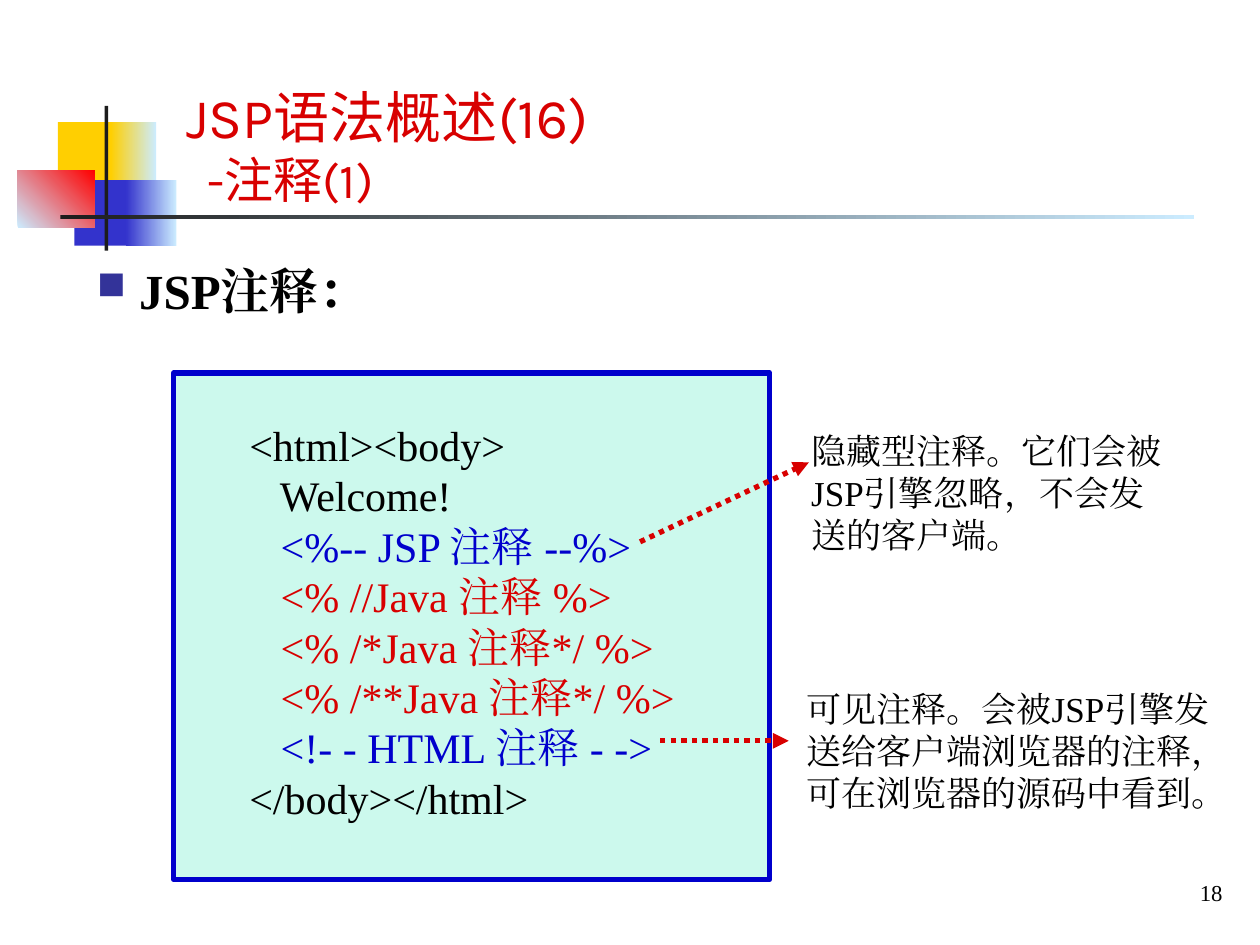
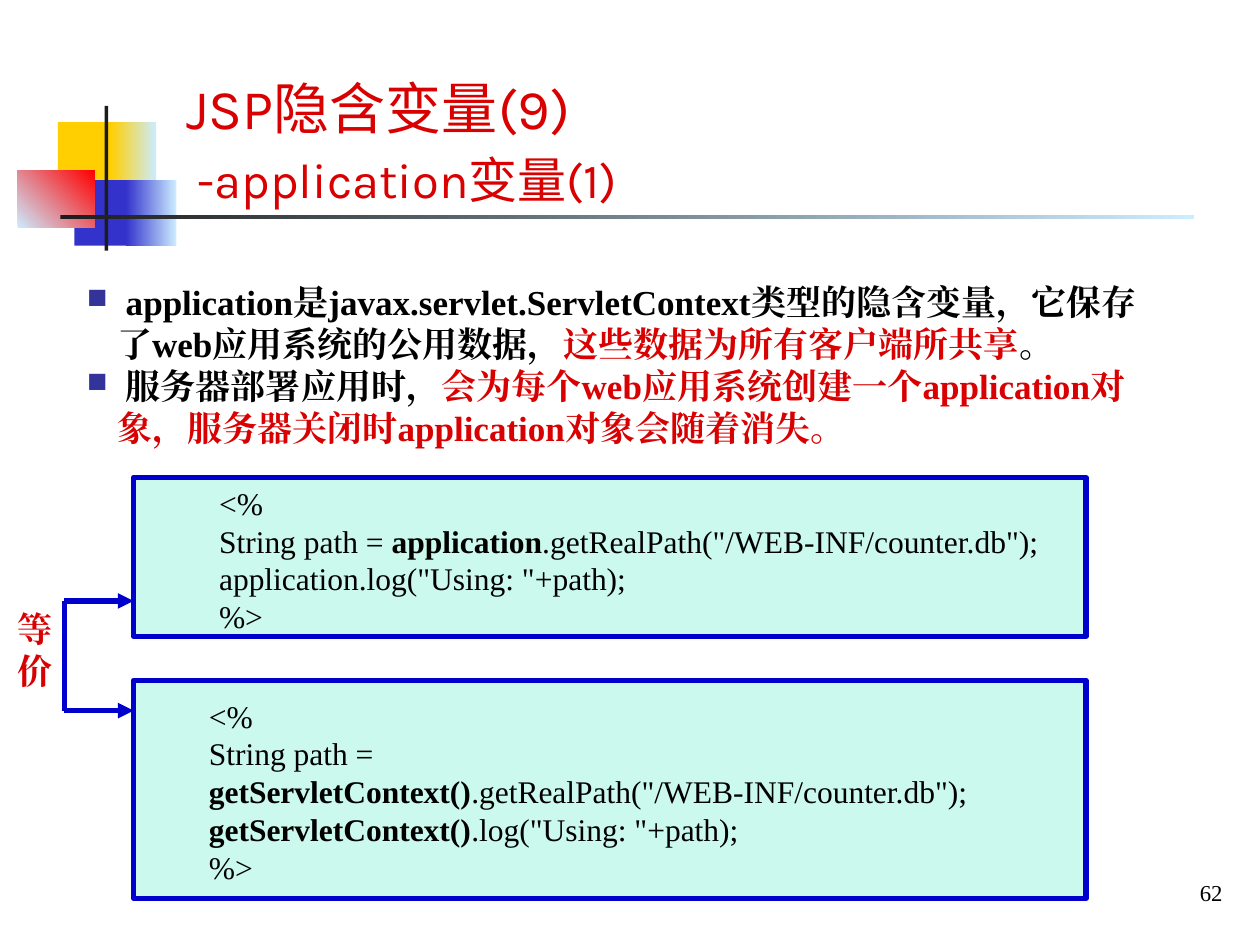
"""Build two slides about JSP comments and the application implicit variable."""
from lxml.etree import SubElement
from pptx import Presentation
from pptx.dml.color import RGBColor
from pptx.enum.dml import MSO_LINE
from pptx.enum.shapes import MSO_CONNECTOR, MSO_SHAPE
from pptx.enum.text import MSO_ANCHOR, PP_ALIGN
from pptx.oxml.ns import qn
from pptx.util import Inches, Pt

BLACK = RGBColor(0x00, 0x00, 0x00)
RED = RGBColor(0xD8, 0x00, 0x00)
BLUE = RGBColor(0x00, 0x00, 0xCC)
MINT = RGBColor(0x00, 0xE4, 0xA8)
YELLOW = RGBColor(0xFF, 0xCF, 0x01)
INDIGO = RGBColor(0x33, 0x33, 0xCC)
BRIGHT_RED = RGBColor(0xFF, 0x00, 0x00)
PALE_BLUE = RGBColor(0xCC, 0xEC, 0xFF)
CHARCOAL = RGBColor(0x1C, 0x1C, 0x1C)
BULLET_COLOR = "333399"

BODY_FONT = "Times New Roman"
TITLE_FONT = "Karla"
LINE_HEIGHT = 1.2
BULLET_INDENT = 0.24
CODE_INDENT = 0.5

DECORATION = [
    ((0.46, 0.97, 0.48, 0.52), (YELLOW,), 0),
    ((0.88, 0.97, 0.36, 0.52), (YELLOW, PALE_BLUE), 0),
    ((0.59, 1.43, 0.46, 0.52), (INDIGO,), 0),
    ((1, 1.43, 0.4, 0.52), (INDIGO, PALE_BLUE), 0),
    ((0.14, 1.35, 0.61, 0.46), (PALE_BLUE, BRIGHT_RED), 45),
    ((0.83, 0.84, 0.03, 1.15), (CHARCOAL,), 0),
    ((0.48, 1.71, 9, 0.03), (CHARCOAL, PALE_BLUE), 0),
]

REAL_PATH = '.getRealPath("/WEB-INF/counter.db");'
CONTEXT = ("getServletContext()", BLACK, True)

SLIDES = [
    {
        "title": "JSP语法概述(16)",
        "subtitle": "-注释(1)",
        "subtitle_indent": 0.17,
        "subtitle_line": 28,
        "number": "18",
        "panels": [(1.38, 2.96, 4.73, 4.02)],
        "texts": [
            {"at": (0.67, 2.02, 9.13, 0.57), "size": 28, "bullet": True,
             "lines": [[(" JSP注释：", BLACK, True)]]},
            {"at": (1.38, 3.28, 4.25, 3.3), "size": 24, "indent": CODE_INDENT,
             "lines": [
                 [("<html><body>",)],
                 [("   Welcome!",)],
                 [("   <%-- JSP 注释 --%>", BLUE)],
                 [("   <% //Java 注释 %>", RED)],
                 [("   <% /*Java 注释*/ %>", RED)],
                 [("   <% /**Java 注释*/ %>", RED)],
                 [("   <!- - HTML 注释 - ->", BLUE)],
                 [("</body></html>",)],
             ]},
            {"at": (6.34, 3.36, 3.07, 1.1), "size": 20,
             "lines": [[("隐藏型注释。它们会被JSP引擎忽略，不会发送的客户端。",)]]},
            {"at": (6.3, 5.41, 3.66, 1.1), "size": 20,
             "lines": [[("可见注释。会被JSP引擎发送给客户端浏览器的注释，可在浏览器的源码中看到。",)]]},
        ],
        "connectors": [
            {"ends": (5.08, 4.3, 6.42, 3.67), "color": RED, "dotted": True},
            {"ends": (5.24, 5.88, 6.26, 5.88), "color": RED, "dotted": True},
        ],
    },
    {
        "title": "JSP隐含变量(9)",
        "subtitle": "-application变量(1)",
        "subtitle_indent": 0.09,
        "subtitle_line": 32,
        "number": "62",
        "panels": [(1.06, 5.4, 7.56, 1.73), (1.06, 3.79, 7.56, 1.26)],
        "texts": [
            {"at": (0.59, 2.18, 8.58, 1.44), "size": 20, "bullet": True,
             "lines": [
                 [(" application是javax.servlet.ServletContext类型的隐含变量，"
                   "它保存了web应用系统的公用数据，", BLACK, True),
                  ("这些数据为所有客户端所共享", RED, True),
                  ("。", BLACK, True)],
                 [(" 服务器部署应用时，", BLACK, True),
                  ("会为每个web应用系统创建一个application对象，"
                   "服务器关闭时application对象会随着消失。", RED, True)],
             ]},
            {"at": (1.14, 3.79, 7.95, 1.3), "size": 18, "indent": CODE_INDENT,
             "lines": [
                 [("<%",)],
                 [("String path = ",), ("application", BLACK, True), (REAL_PATH,)],
                 [('application.log("Using: "+path);',)],
                 [("%>",)],
             ]},
            {"at": (1.06, 5.48, 7.64, 1.6), "size": 18, "indent": CODE_INDENT,
             "lines": [
                 [("<%",)],
                 [("String path = ",), CONTEXT, (REAL_PATH,)],
                 [CONTEXT, ('.log("Using: "+path);',)],
                 [("%>",)],
             ]},
            {"at": (0.04, 4.77, 0.67, 0.77), "size": 20,
             "lines": [[("等价", RED, True)]]},
        ],
        "connectors": [
            {"ends": (0.51, 4.77, 0.51, 5.64), "color": BLUE, "arrow": False},
            {"ends": (0.51, 4.77, 1.06, 4.77), "color": BLUE},
            {"ends": (0.51, 5.64, 1.06, 5.64), "color": BLUE},
        ],
    },
]


def inches(values):
    return [Inches(value) for value in values]


def add_rectangle(page, at):
    shape = page.shapes.add_shape(MSO_SHAPE.RECTANGLE, *inches(at))
    shape.shadow.inherit = False
    return shape


def add_decoration(page):
    for at, colors, angle in DECORATION:
        shape = add_rectangle(page, at)
        shape.line.fill.background()
        if len(colors) == 1:
            shape.fill.solid()
            shape.fill.fore_color.rgb = colors[0]
        else:
            shape.fill.gradient()
            shape.fill.gradient_angle = angle
            for stop, color in zip(shape.fill.gradient_stops, colors):
                stop.color.rgb = color


def add_panel(page, at):
    panel = add_rectangle(page, at)
    panel.fill.solid()
    panel.fill.fore_color.rgb = MINT
    color = panel.fill._xPr.find(qn("a:solidFill"))[0]
    SubElement(color, qn("a:alpha"), val="20000")
    panel.line.color.rgb = BLUE
    panel.line.width = Pt(3)


def add_box(page, at, anchor=MSO_ANCHOR.TOP):
    frame = page.shapes.add_textbox(*inches(at)).text_frame
    frame.word_wrap = True
    frame.vertical_anchor = anchor
    return frame


def indent_paragraph(para, left, first=0):
    properties = para._p.get_or_add_pPr()
    properties.set("marL", str(Inches(left)))
    properties.set("indent", str(Inches(first)))
    return properties


def add_bullet(para):
    properties = indent_paragraph(para, BULLET_INDENT, -BULLET_INDENT)
    color = SubElement(properties, qn("a:buClr"))
    SubElement(color, qn("a:srgbClr"), val=BULLET_COLOR)
    SubElement(properties, qn("a:buSzPct"), val="80000")
    SubElement(properties, qn("a:buChar"), char="■")


def add_span(para, size, text, color=BLACK, bold=False, font=BODY_FONT):
    span = para.add_run()
    span.text = text
    span.font.size = Pt(size)
    span.font.name = font
    span.font.bold = bold
    span.font.color.rgb = color
    SubElement(span.font._element, qn("a:ea"), typeface=font)


def add_text(page, at, size, lines, bullet=False, indent=0):
    frame = add_box(page, at)
    for index, line in enumerate(lines):
        para = frame.add_paragraph() if index else frame.paragraphs[0]
        para.line_spacing = Pt(size * LINE_HEIGHT)
        if bullet:
            add_bullet(para)
        elif indent:
            indent_paragraph(para, indent)
        for span in line:
            add_span(para, size, *span)


def add_title(page, content):
    frame = add_box(page, (1.38, 0.52, 7.32, 1.18), MSO_ANCHOR.BOTTOM)
    title = frame.paragraphs[0]
    title.line_spacing = Pt(32 * LINE_HEIGHT)
    add_span(title, 32, content["title"], RED, font=TITLE_FONT)
    subtitle = frame.add_paragraph()
    subtitle.line_spacing = Pt(content["subtitle_line"] * LINE_HEIGHT)
    indent_paragraph(subtitle, content["subtitle_indent"])
    add_span(subtitle, 28, content["subtitle"], RED, font=TITLE_FONT)


def add_number(page, number):
    frame = add_box(page, (7.89, 6.9, 1.91, 0.37), MSO_ANCHOR.MIDDLE)
    para = frame.paragraphs[0]
    para.alignment = PP_ALIGN.RIGHT
    add_span(para, 13, number)


def add_line(page, ends, color, dotted=False, arrow=True):
    connector = page.shapes.add_connector(MSO_CONNECTOR.STRAIGHT, *inches(ends))
    connector.line.color.rgb = color
    connector.line.width = Pt(3)
    if dotted:
        connector.line.dash_style = MSO_LINE.ROUND_DOT
    properties = connector._element.spPr
    if arrow:
        SubElement(properties.find(qn("a:ln")), qn("a:tailEnd"), type="triangle")
    SubElement(properties, qn("a:effectLst"))


def main():
    deck = Presentation()
    deck.slide_width, deck.slide_height = Inches(10), Inches(7.5)
    for content in SLIDES:
        page = deck.slides.add_slide(deck.slide_layouts[6])
        add_decoration(page)
        add_number(page, content["number"])
        for at in content["panels"]:
            add_panel(page, at)
        add_title(page, content)
        for text in content["texts"]:
            add_text(page, **text)
        for connector in content["connectors"]:
            add_line(page, **connector)
    deck.save("out.pptx")


if __name__ == "__main__":
    main()
